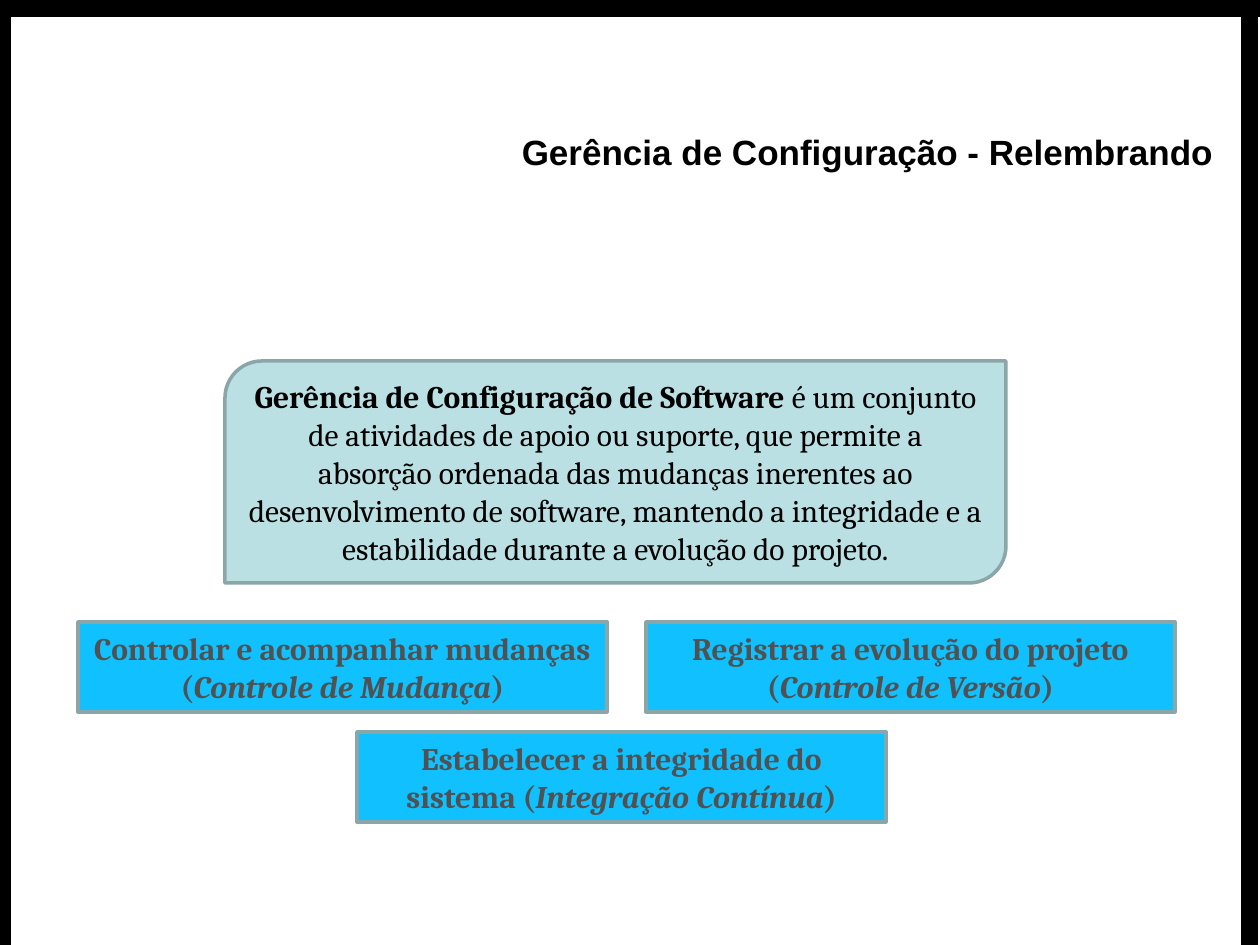
from lxml.etree import SubElement
from pptx import Presentation
from pptx.dml.color import RGBColor
from pptx.enum.shapes import MSO_SHAPE
from pptx.enum.text import MSO_ANCHOR, PP_ALIGN
from pptx.util import Pt

PX = 914400 // 126
WIDE, HIGH = 1260, 945
COLORS = {
    "black": "000000",
    "pale": "BBE0E3",
    "edge": "8AA6A8",
    "blue": "11C1FF",
    "gray": "515151",
}
GOALS = [
    ("Controlar e acompanhar mudanças", "Controle de Mudança"),
    ("Registrar a evolução do projeto", "Controle de Versão"),
    ("Estabelecer a integridade do sistema", "Integração Contínua"),
]


def color(name):
    return RGBColor.from_string(COLORS[name])


def scale(box):
    return [n * PX for n in box]


def write(frame, runs, size=18, font="Cambria", ink="black",
          align=PP_ALIGN.CENTER, anchor=MSO_ANCHOR.MIDDLE):
    """Fill a text frame with runs given as (text, bold, italic)."""
    frame.word_wrap = True
    frame.vertical_anchor = anchor
    line = frame.paragraphs[0]
    line.alignment = align
    for text, bold, italic in runs:
        run = line.add_run()
        run.text = text
        run.font.size = Pt(size)
        run.font.name = font
        run.font.bold = bold
        run.font.italic = italic
        run.font.color.rgb = color(ink)


def block(slide, box, fill, edge, width, kind=MSO_SHAPE.RECTANGLE):
    shape = slide.shapes.add_shape(kind, *scale(box))
    shape.shadow.inherit = False
    shape.fill.solid()
    shape.fill.fore_color.rgb = color(fill)
    shape.line.color.rgb = color(edge)
    shape.line.width = Pt(width)
    return shape


def border(slide, box):
    """Draw bars along the right, left and top edges of the box."""
    left, top, width, height = box
    bar = 15
    for part in (
        (left + width - 18, top + 8, bar, height),
        (left - 5, top, bar, height),
        (left, top, width, bar + 1),
    ):
        block(slide, part, "black", "black", 0.75)


def title(slide, box):
    frame = slide.shapes.add_textbox(*scale(box)).text_frame
    write(frame, [("Gerência de Configuração - Relembrando", True, False)],
          size=20, font="Arial", align=PP_ALIGN.RIGHT, anchor=MSO_ANCHOR.TOP)
    SubElement(frame._txBody.bodyPr,
               "{http://schemas.openxmlformats.org/drawingml/2006/main}spAutoFit")


def concept(slide, box):
    shape = block(slide, box, "pale", "edge", 2,
                  MSO_SHAPE.ROUND_2_DIAG_RECTANGLE)
    write(shape.text_frame, [
        ("Gerência de Configuração de Software", True, False),
        (" é um conjunto de atividades de apoio ou suporte, que permite a "
         "absorção ordenada das mudanças inerentes ao desenvolvimento de "
         "software, mantendo a integridade e a estabilidade durante a "
         "evolução do projeto.", False, False),
    ])


def goals(slide, box):
    """Place two goals side by side and the third below them."""
    left, top, width, height = box
    wide, high = 529, 90
    low = top + height - high
    spots = [(left, top), (left + width - wide, top), (left + 279, low)]
    for (x, y), (goal, means) in zip(spots, GOALS):
        shape = block(slide, (x, y, wide, high), "blue", "edge", 2)
        write(shape.text_frame, [
            (goal + " (", True, False),
            (means, True, True),
            (")", True, False),
        ], ink="gray")


def main():
    deck = Presentation()
    deck.slide_width, deck.slide_height = scale((WIDE, HIGH))
    slide = deck.slides.add_slide(deck.slide_layouts[6])
    border(slide, (0, 0, WIDE, HIGH))
    title(slide, (353, 124, 873, 55))
    concept(slide, (225, 361, 781, 222))
    goals(slide, (78, 622, 1097, 200))
    deck.save("out.pptx")


if __name__ == "__main__":
    main()
